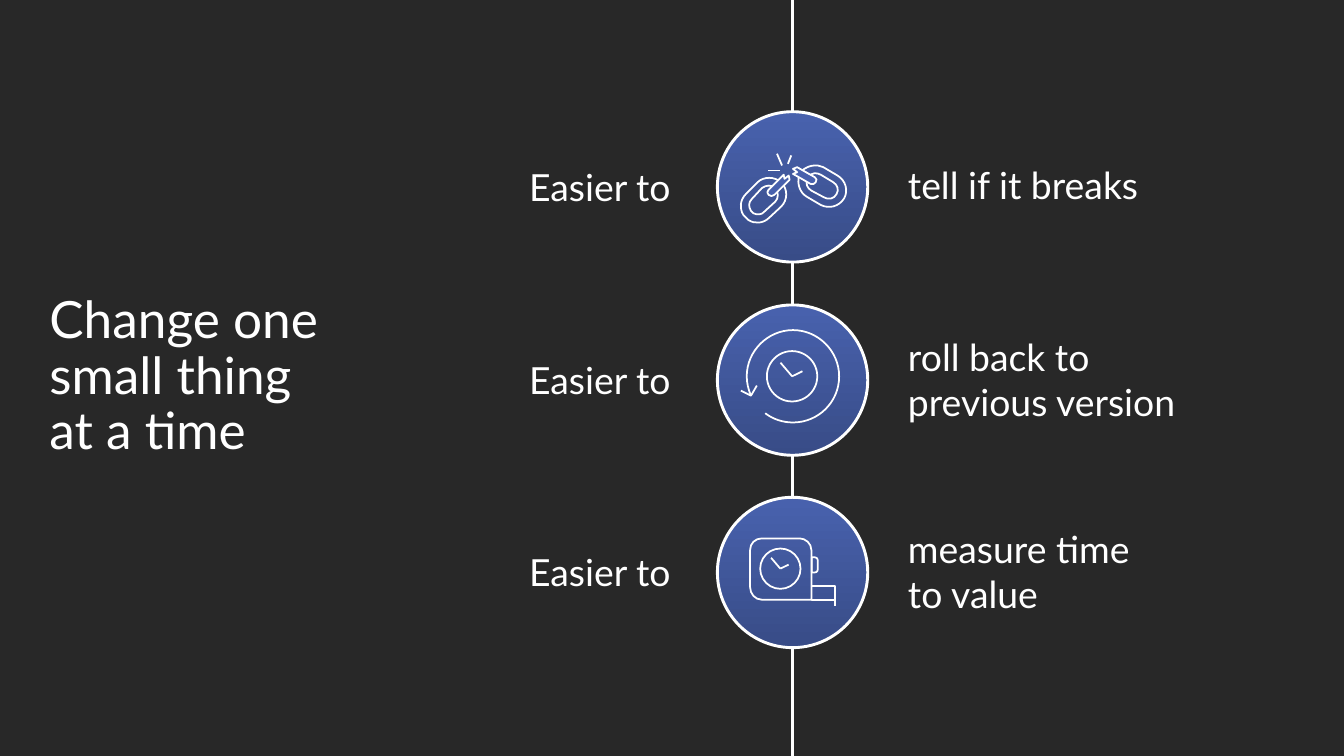
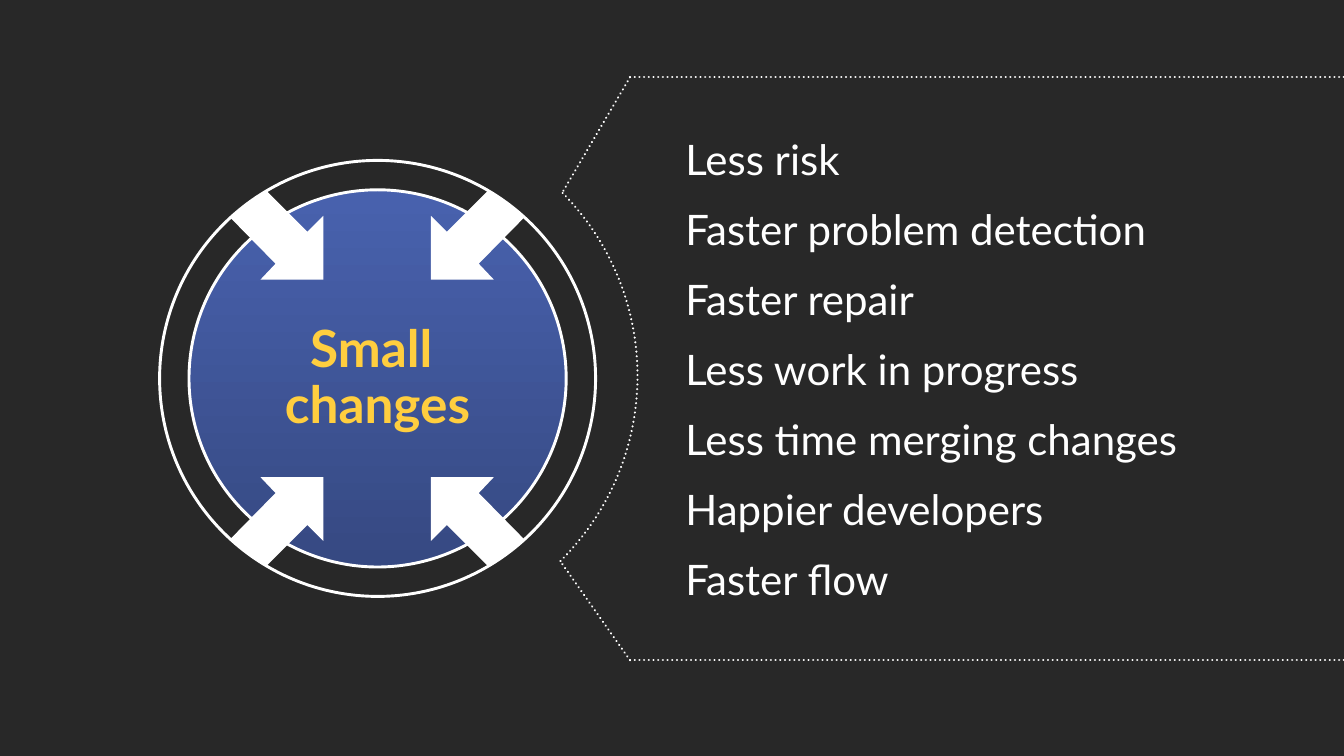
from pptx import Presentation
from pptx.dml.color import RGBColor
from pptx.enum.dml import MSO_LINE
from pptx.enum.shapes import MSO_CONNECTOR, MSO_SHAPE as SHAPE
from pptx.enum.text import MSO_ANCHOR as ANCHOR, PP_ALIGN as ALIGN
from pptx.oxml.ns import qn
from pptx.util import Pt
from lxml.etree import SubElement

# Shared style: 100 px to the inch
PX = 9144
WIDTH, HEIGHT = 1600, 900
FONT = "Lato"
DARK, WHITE, YELLOW = "282828", "FFFFFF", "FFCE3F"
BLUE, DEEP_BLUE, NAVY = "4861AD", "384C87", "364982"
BOLD_LINE, DOTTED_LINE, ICON_LINE = 2.5, 2, 1.5
TITLE_SIZE = 44

# Slide 1 content
TITLE = "Change one small thing\nat a time"
LEAD = "Easier to"
REASONS = ["tell if it breaks", "roll back to \nprevious version", "measure time \nto value"]
AXIS_X, CIRCLE, FIRST_TOP, PITCH = 943, 179, 133, 229.5

CHAIN_LINKS = [
    "M977,208 C972,205,966,206,963,210 L961,214 C959,219,961,224,966,227 L981,235 "
    "C986,238,993,237,996,231 C999,226,997,220,992,217 Z "
    "M980,199 L997,209 C1007,215,1010,227,1005,236 C999,246,987,249,977,244 L960,234 "
    "C952,229,949,219,951,210 L955,203 C962,197,972,195,980,199 Z",
    "M895,237 C891,241,891,246,894,251 L897,254 C901,256,907,256,910,252 L923,240 "
    "C927,236,927,229,923,224 C919,220,912,220,907,224 Z "
    "M888,231 L902,217 C909,210,922,210,930,217 C938,225,938,238,930,246 L916,259 "
    "C909,266,899,267,891,262 L885,256 C880,248,881,238,888,231 Z",
]
BROKEN_ENDS = [
    "M949,199 L970,211 C972,212,973,215,971,217 C970,219,967,220,965,219 "
    "L944,207 L949,205 L944,201 Z",
    "M915,226 L933,208 L934,213 L939,209 L940,214 L922,232 C920,234,917,234,915,232 "
    "C913,230,913,228,915,226 Z",
]
SPARKS = [(931, 197, 925, 183), (938, 195, 942, 185), (928, 203, 914, 203)]
ROLLBACK_ARROW = [
    "M911,492 C920,499,932,503,944,503 C974,503,999,479,999,448 C999,418,974,393,944,393 "
    "C914,393,889,418,889,448 C889,456,891,464,894,471",
    "M901,459 L894,471 L882,465",
]
TAPE_CASE = ("M907,641 L952,641 C959,641,966,647,966,655 L966,714 L907,714 "
             "C899,714,893,707,893,699 L893,655 C893,647,899,641,907,641 Z")

# Slide 2 content
HUB = "Small \nchanges"
BENEFITS = ["Less risk", "Faster problem detection", "Faster repair", "Less work in progress",
            "Less time merging changes", "Happier developers", "Faster flow"]
ARROW = ("M317,227 L366,276 L385,257 L385,333 L310,333 L328,314 L274,259 L283,250 "
         "C290,245,296,240,303,235 Z")
MIRROR_X, MIRROR_Y = 898, 901
RING_MASK = ("M449,191 C306,191,190,307,190,451 C190,594,306,710,449,710 "
             "C593,710,709,594,709,451 C709,307,593,191,449,191 Z "
             "M0,18 L876,18 L876,810 L0,810 Z")
BRACKET = [(750, 92, WIDTH, 92), (750, 786, WIDTH, 786),
           (750, 786, 667, 668), (750, 92, 669, 230)]
ARC_FROM, ARC_TO = 315.46, 45.26


def color(code):
    return RGBColor.from_string(code)


def emu(*lengths):
    return [round(length * PX) for length in lengths]


def style(shape, fill=None, line=WHITE, width=ICON_LINE):
    """Fill is None, one colour, or a (top, bottom) gradient."""
    shape.shadow.inherit = False
    if fill is None:
        shape.fill.background()
    elif isinstance(fill, tuple):
        shape.fill.gradient()
        shape.fill.gradient_angle = 270
        for stop, code, position in zip(shape.fill.gradient_stops, fill, (0.02, 1)):
            stop.color.rgb, stop.position = color(code), position
    else:
        shape.fill.solid()
        shape.fill.fore_color.rgb = color(fill)
    if line is None:
        shape.line.fill.background()
    else:
        shape.line.color.rgb = color(line)
        shape.line.width = Pt(width)


def dot(shape):
    shape.line.dash_style = MSO_LINE.ROUND_DOT
    shape._element.spPr.find(qn("a:ln")).set("cap", "rnd")


def add_preset(page, kind, at, **look):
    shape = page.shapes.add_shape(kind, *emu(*at))
    style(shape, **look)
    return shape


def add_line(page, ends, width=ICON_LINE):
    line = page.shapes.add_connector(MSO_CONNECTOR.STRAIGHT, *emu(*ends))
    line.line.color.rgb = color(WHITE)
    line.line.width = Pt(width)
    SubElement(line._element.spPr, qn("a:effectLst"))
    return line


def trace(outline):
    """Turn M, L, C and Z steps into a list of [points, curve starts, closed]."""
    contours = []
    for step in outline.split():
        numbers = [int(number) for number in step[1:].split(",") if number]
        points = list(zip(numbers[::2], numbers[1::2]))
        if step[0] == "M":
            contours.append([points, [], False])
        elif step[0] == "Z":
            contours[-1][2] = True
        else:
            if step[0] == "C":
                contours[-1][1].append(len(contours[-1][0]))
            contours[-1][0].extend(points)
    return contours


def add_outline(page, contours, **look):
    builder, offset, curves = None, 0, []
    for points, curve_starts, closed in contours:
        start, *rest = [emu(*point) for point in points]
        if builder is None:
            builder = page.shapes.build_freeform(*start)
        else:
            builder.move_to(*start)
        builder.add_line_segments(rest, close=closed)
        curves += [offset + index for index in curve_starts]
        offset += len(points) + closed
    shape = builder.convert_to_shape()
    # Join each three segments of a curve into one Bezier segment
    outline = next(shape._element.iter(qn("a:path")))
    segments = list(outline)
    for index in curves:
        curve, *others = segments[index:index + 3]
        curve.tag = qn("a:cubicBezTo")
        for segment in others:
            curve.append(segment[0])
            outline.remove(segment)
    style(shape, **look)


def add_text(page, at, lines, size, code=WHITE, bold=False, align=ALIGN.LEFT,
             anchor=ANCHOR.TOP, inset=(10, 5), spacing=None, before=0, after=0):
    box = page.shapes.add_textbox(*emu(*at))
    frame = box.text_frame
    frame.word_wrap = True
    frame.vertical_anchor = anchor
    frame.margin_left = frame.margin_right = inset[0] * PX
    frame.margin_top = frame.margin_bottom = inset[1] * PX
    for index, line in enumerate(lines):
        para = frame.add_paragraph() if index else frame.paragraphs[0]
        para.text = line
        para.alignment = align
        if spacing:
            para.line_spacing = spacing
        if before and index:
            para.space_before = Pt(before)
        if after:
            para.space_after = Pt(after)
        for span in para.runs:
            span.font.name, span.font.size, span.font.bold = FONT, Pt(size), bold
            span.font.color.rgb = color(code)


def add_page(deck):
    page = deck.slides.add_slide(deck.slide_layouts[6])
    page.background.fill.solid()
    page.background.fill.fore_color.rgb = color(DARK)
    return page


# Icons
def draw_clock(page, x, y, radius):
    add_preset(page, SHAPE.OVAL, (x - radius, y - radius, 2 * radius, 2 * radius))
    for across, down in ((-0.46, -0.54), (0.41, -0.2)):
        add_line(page, (x, y, x + across * radius, y + down * radius))


def draw_chain(page):
    for link, end in zip(CHAIN_LINKS, BROKEN_ENDS):
        add_outline(page, trace(link))
        add_outline(page, trace(end), fill=BLUE)
    for spark in SPARKS:
        add_line(page, spark)


def draw_rollback(page):
    for stroke in ROLLBACK_ARROW:
        add_outline(page, trace(stroke))
    draw_clock(page, AXIS_X, 448, 30)


def draw_tape(page):
    add_outline(page, trace(TAPE_CASE))
    add_preset(page, SHAPE.RECTANGLE, (966, 698, 28, 16))
    add_line(page, (994, 698, 994, 722))
    draw_clock(page, 929, 677, 24)
    button = add_preset(page, SHAPE.ROUND_2_SAME_RECTANGLE, (961, 669, 18, 7))
    button.adjustments[0], button.adjustments[1] = 0.5, 0
    button.rotation = 90


def build_reasons(deck):
    page = add_page(deck)
    add_text(page, (49, 375, 485, 149), [TITLE], TITLE_SIZE, anchor=ANCHOR.MIDDLE, spacing=0.9)
    add_line(page, (AXIS_X, 0, AXIS_X, HEIGHT), BOLD_LINE)
    for row, (reason, draw_icon) in enumerate(zip(REASONS, (draw_chain, draw_rollback, draw_tape))):
        top = FIRST_TOP + round(row * PITCH)
        middle = top + CIRCLE // 2
        height = 74 + 50 * reason.count("\n")
        add_text(page, (620, middle - 32, 207, 64), [LEAD], 32)
        add_text(page, (1065, middle - height // 2, 474, height), [reason], 32, inset=(16, 8))
        add_preset(page, SHAPE.OVAL, (854, top, CIRCLE, CIRCLE),
                   fill=(BLUE, DEEP_BLUE), width=BOLD_LINE)
        draw_icon(page)


def build_benefits(deck):
    page = add_page(deck)
    # Hub with four arrows pointing in, trimmed to the ring
    add_preset(page, SHAPE.OVAL, (225, 226, 449, 449), fill=(BLUE, NAVY), width=BOLD_LINE)
    add_text(page, (225, 354, 449, 194), [HUB], TITLE_SIZE, YELLOW, bold=True,
             align=ALIGN.CENTER, anchor=ANCHOR.MIDDLE, spacing=0.9)
    [(arrow, curves, closed)] = trace(ARROW)
    for flip_y in (False, True):
        for flip_x in (False, True):
            points = [(MIRROR_X - x if flip_x else x, MIRROR_Y - y if flip_y else y)
                      for x, y in arrow]
            add_outline(page, [(points, curves, closed)], fill=WHITE, line=None)
    add_outline(page, trace(RING_MASK), fill=DARK, line=None)
    # Benefits inside a dotted bracket
    add_text(page, (800, 128, 718, 622), BENEFITS, 36, anchor=ANCHOR.MIDDLE,
             inset=(16, 8), before=7.2, after=9.6)
    arc = add_preset(page, SHAPE.ARC, (138, 137, 621, 621), width=DOTTED_LINE)
    dot(arc)
    for index, degrees in enumerate((ARC_FROM, ARC_TO)):
        arc.adjustments[index] = degrees * 0.6
    for ends in BRACKET:
        dot(add_line(page, ends, DOTTED_LINE))
    add_preset(page, SHAPE.OVAL, (190, 191, 519, 519), width=BOLD_LINE)


def main():
    deck = Presentation()
    deck.slide_width, deck.slide_height = emu(WIDTH, HEIGHT)
    build_reasons(deck)
    build_benefits(deck)
    deck.save("out.pptx")


if __name__ == "__main__":
    main()
